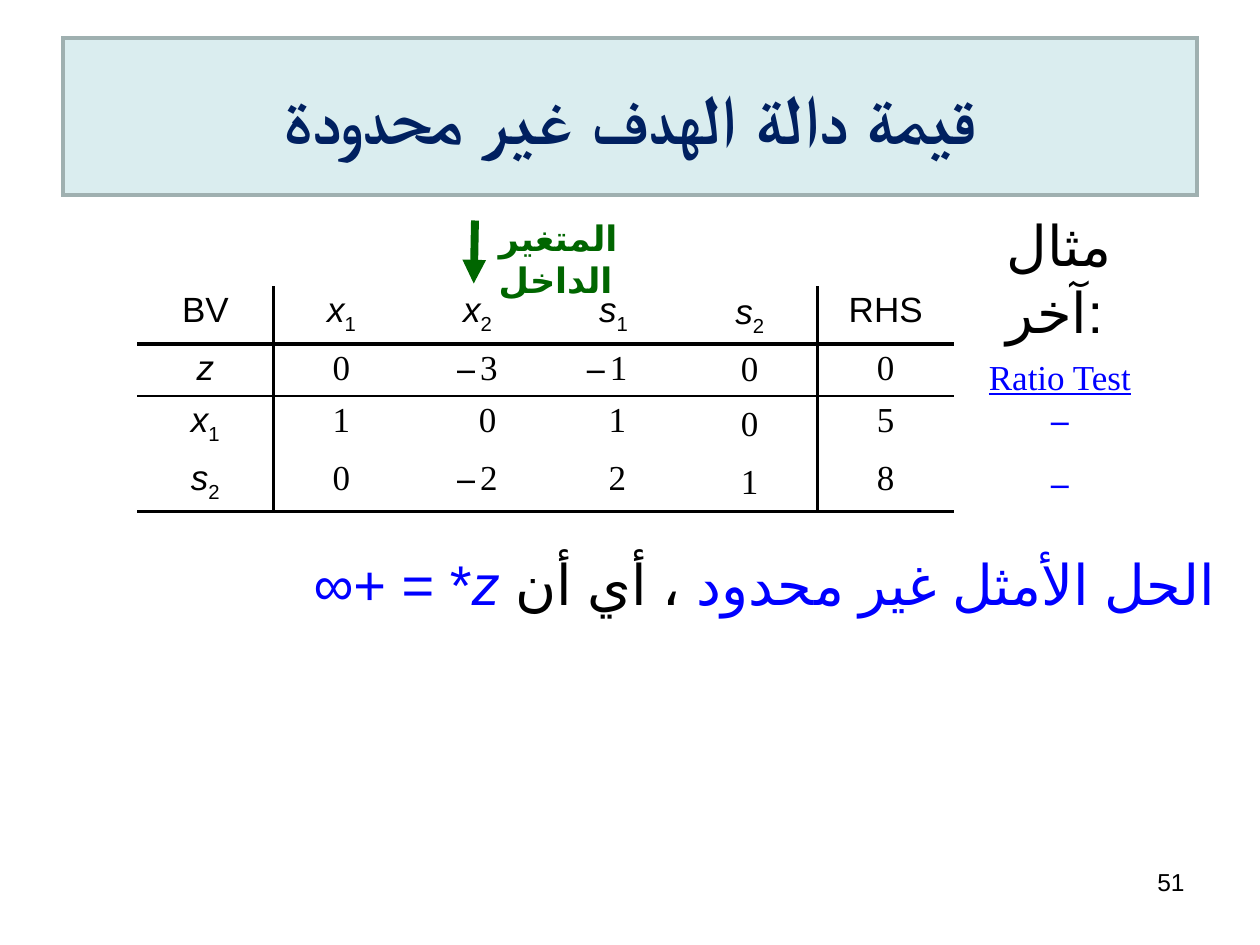
import pptx
import pptx.dml.color
import pptx.enum.shapes
import pptx.enum.text
import pptx.oxml.ns
import pptx.util
from lxml import etree

Inches = pptx.util.Inches
Pt = pptx.util.Pt
RGBColor = pptx.dml.color.RGBColor
ALIGN = pptx.enum.text.PP_ALIGN
ANCHOR = pptx.enum.text.MSO_ANCHOR
AUTO_SIZE = pptx.enum.text.MSO_AUTO_SIZE
qn = pptx.oxml.ns.qn

BLACK = RGBColor(0x00, 0x00, 0x00)
BLUE = RGBColor(0x00, 0x00, 0xFF)
GREEN = RGBColor(0x00, 0x66, 0x00)
NAVY = RGBColor(0x00, 0x20, 0x60)
PALE_TEAL = RGBColor(0xDA, 0xED, 0xEF)
GREY_TEAL = RGBColor(0x9F, 0xB0, 0xB0)

# Content: a run is (text, format), a paragraph is (runs, format)
ARIAL = {"name": "Arial", "size": Pt(20), "color": BLACK}
TIMES = {**ARIAL, "name": "Times New Roman"}
ARABIC = {**ARIAL, "lang": "ar-SA"}
LARGE = {**ARABIC, "size": Pt(32)}
LARGE_BLUE = {**LARGE, "color": BLUE}
RATIO = {**TIMES, "color": BLUE}
DASH = [("–", {**RATIO, "bold": True})]
CENTER = {"alignment": ALIGN.CENTER}
RIGHT = {"alignment": ALIGN.RIGHT}
GROW = {"auto_size": AUTO_SIZE.SHAPE_TO_FIT_TEXT}

TITLE = [([("قيمة دالة الهدف غير محدودة",
            {**ARABIC, "name": "Times New Roman", "size": Pt(40),
             "bold": True, "color": NAVY})],
          {**CENTER, "rtl": True})]
CONCLUSION = [([("الحل الأمثل غير محدود ", LARGE_BLUE),
                ("، أي أن ", LARGE),
                ("z", {**LARGE_BLUE, "italic": True}),
                ("* = +∞", LARGE_BLUE)], {**RIGHT, "rtl": True})]
RATIO_TEST = [([("Ratio Test", {**RATIO, "underline": True})], {}),
              (DASH, CENTER),
              (DASH, {**CENTER, "line_spacing": 1.5})]
ENTERING = [([("المتغير الداخل", {**ARABIC, "bold": True, "color": GREEN})], {})]
EXAMPLE = [([("مثال آخر:", LARGE)], {})]
PAGE_NUMBER = [([("51", {**ARIAL, "size": Pt(14)})], RIGHT)]

# (left, top, width, height), paragraphs, frame format
TEXT_BOXES = [
    ((7.17, 6.83, 2.33, 0.52), PAGE_NUMBER, {}),
    ((7.75, 2.77, 1.34, 1.28), RATIO_TEST, {**GROW, "word_wrap": False}),
    ((3.86, 1.67, 1.46, 0.44), ENTERING, GROW),
    ((0.17, 4.31, 9.58, 2.39), CONCLUSION, {}),
    ((7.89, 1.62, 1.67, 0.64), EXAMPLE, GROW),
]

TABLEAU = [
    ["BV", "x1", "x2", "s1", "s2", "RHS"],
    ["z", "0", "–3", "–1", "0", "0"],
    ["x1", "1", "0", "1", "0", "5"],
    ["s2", "0", "–2", "2", "1", "8"],
]
ROW_HEIGHTS = [0.41, 0.3, 0.4, 0.43]
COLUMN_WIDTH = 1.08
MIDDLE_COLUMN = 4
# Extra left margin (or right, if negative) that lines up the digits
NUDGES = {(1, 3): -0.1, (2, 2): 0.16, (2, 3): 0.06, (3, 3): 0.06}
RULES_BELOW_ROW = {0: 2.25, 1: 1, 3: 2.25}
RULES_AFTER_COLUMN = {0: 2.25, 4: 2.25}


def write_runs(paragraph, runs):
    for text, formats in runs:
        run = paragraph.add_run()
        run.text = text
        properties = run._r.get_or_add_rPr()
        for name, value in formats.items():
            if name == "color":
                run.font.color.rgb = value
            elif name in ("baseline", "lang"):
                properties.set(name, str(value))
            else:
                setattr(run.font, name, value)
        etree.SubElement(properties, qn("a:cs"), typeface=formats["name"])


def write_paragraphs(frame, paragraphs):
    for index, (runs, formats) in enumerate(paragraphs):
        paragraph = frame.add_paragraph() if index else frame.paragraphs[0]
        for name, value in formats.items():
            if name == "rtl":
                paragraph._p.get_or_add_pPr().set("rtl", "1")
            else:
                setattr(paragraph, name, value)
        write_runs(paragraph, runs)


def add_text(slide, box, paragraphs, frame_formats):
    shape = slide.shapes.add_textbox(*map(Inches, box))
    shape.text_frame.word_wrap = True
    for name, value in frame_formats.items():
        setattr(shape.text_frame, name, value)
    write_paragraphs(shape.text_frame, paragraphs)
    return shape


def cell_runs(text):
    """Variables are italic with a subscript; a minus is bold before a thin gap."""
    if text[0] in "xsz":
        runs = [(text[0], {**ARIAL, "italic": True})]
        if text[1:]:
            runs.append((text[1:], {**ARIAL, "baseline": -25000}))
        return runs
    if text[0] == "–":
        return [("–", {**TIMES, "bold": True}),
                (" ", {**TIMES, "size": Pt(12)}), (text[1:], TIMES)]
    return [(text, TIMES if text.isdigit() else ARIAL)]


def add_borders(cell, widths):
    """Set all four sides in schema order, ahead of the cell's fill."""
    properties = cell._tc.get_or_add_tcPr()
    for index, (side, width) in enumerate(widths.items()):
        line = etree.Element(qn("a:" + side), w=str(Pt(width or 0)))
        if width:
            fill = etree.SubElement(line, qn("a:solidFill"))
            etree.SubElement(fill, qn("a:srgbClr"), val=str(BLACK))
        else:
            etree.SubElement(line, qn("a:noFill"))
        properties.insert(index, line)


def add_tableau(slide):
    rows, columns = len(TABLEAU), len(TABLEAU[0])
    frame = slide.shapes.add_table(
        rows, columns, Inches(1.09), Inches(2.27),
        Inches(columns * COLUMN_WIDTH), Inches(sum(ROW_HEIGHTS)))
    table = frame.table
    table.first_row = table.horz_banding = False
    # Plain style: no grid
    table._tbl.tblPr.find(qn("a:tableStyleId")).text = (
        "{2D5ABB26-0587-4C30-8999-92F81FD0307C}")
    for column in table.columns:
        column.width = Inches(COLUMN_WIDTH)
    for row_index, texts in enumerate(TABLEAU):
        table.rows[row_index].height = Inches(ROW_HEIGHTS[row_index])
        for column_index, text in enumerate(texts):
            cell = table.cell(row_index, column_index)
            cell.fill.background()
            if column_index == MIDDLE_COLUMN:
                cell.vertical_anchor = ANCHOR.MIDDLE
            nudge = NUDGES.get((row_index, column_index), 0)
            cell.margin_left = Inches(0.1 + max(nudge, 0))
            cell.margin_right = Inches(0.1 + max(-nudge, 0))
            cell.margin_top = cell.margin_bottom = Inches(0.04)
            write_paragraphs(cell.text_frame, [(cell_runs(text), CENTER)])
            add_borders(cell, {
                "lnL": RULES_AFTER_COLUMN.get(column_index - 1),
                "lnR": RULES_AFTER_COLUMN.get(column_index),
                "lnT": RULES_BELOW_ROW.get(row_index - 1),
                "lnB": RULES_BELOW_ROW.get(row_index)})


def add_arrow(slide):
    arrow = slide.shapes.add_connector(
        pptx.enum.shapes.MSO_CONNECTOR.STRAIGHT,
        Inches(3.77), Inches(1.75), Inches(3.76), Inches(2.25))
    arrow.line.color.rgb = GREEN
    arrow.line.width = Pt(4.5)
    etree.SubElement(arrow.line._get_or_add_ln(), qn("a:tailEnd"), type="triangle")
    etree.SubElement(arrow._element.spPr, qn("a:effectLst"))


def main():
    presentation = pptx.Presentation()
    presentation.slide_width, presentation.slide_height = Inches(10), Inches(7.5)
    slide = presentation.slides.add_slide(presentation.slide_layouts[6])

    # Title banner with square corners
    title = add_text(slide, (0.5, 0.3, 9, 1.25), TITLE,
                     {"vertical_anchor": ANCHOR.MIDDLE})
    title.fill.solid()
    title.fill.fore_color.rgb = PALE_TEAL
    title.line.color.rgb = GREY_TEAL
    title.line.width = Pt(2.25)
    etree.SubElement(title.line._get_or_add_ln(), qn("a:miter"), lim="800000")

    # Simplex tableau, entering-variable arrow and texts
    add_tableau(slide)
    add_arrow(slide)
    for box, paragraphs, frame_formats in TEXT_BOXES:
        add_text(slide, box, paragraphs, frame_formats)

    presentation.save("out.pptx")


if __name__ == "__main__":
    main()
